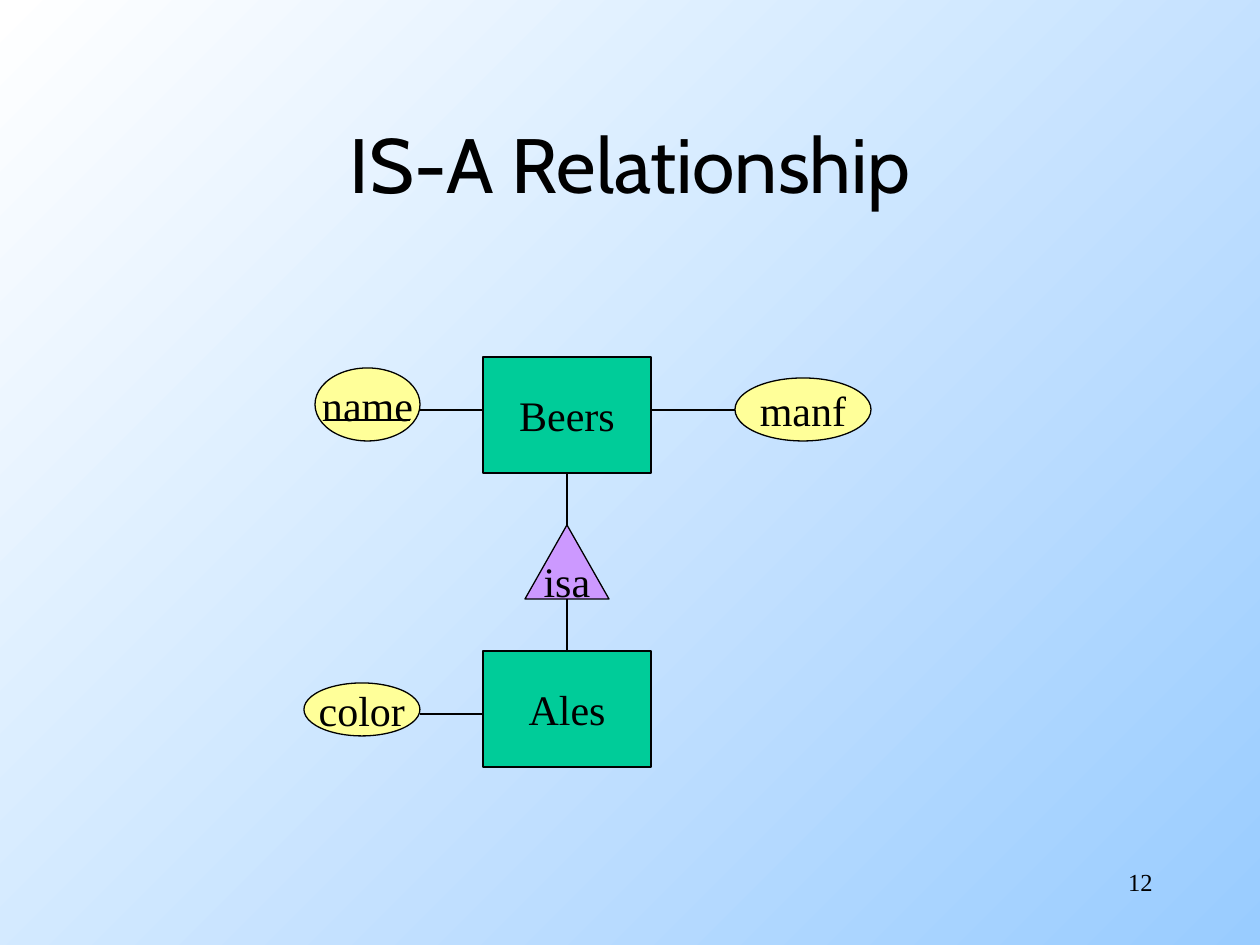
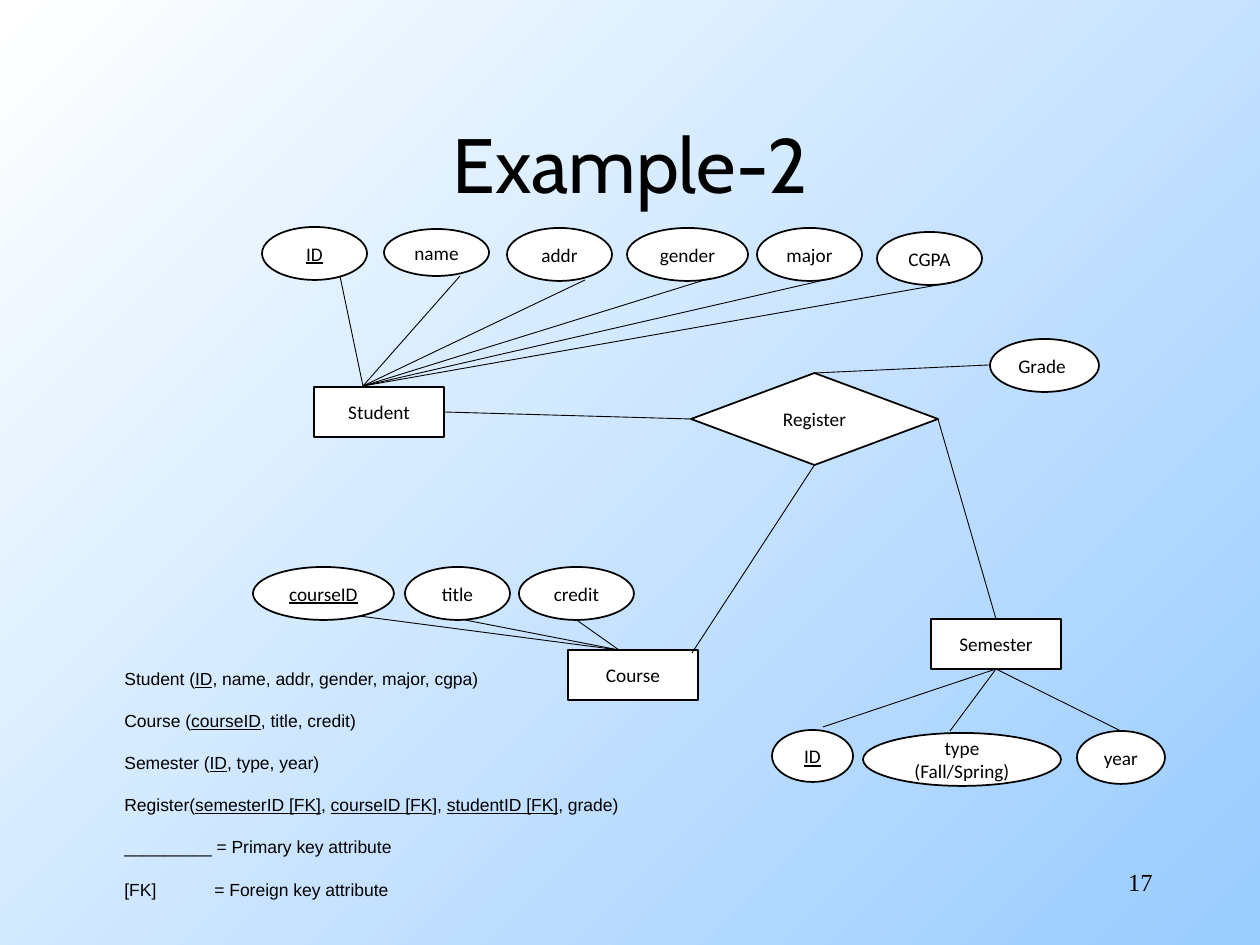
"""Build two entity-relationship slides: an IS-A diagram and a course registration example."""
from dataclasses import dataclass

import pptx
import pptx.dml.color
import pptx.enum.shapes
import pptx.enum.text
import pptx.oxml.ns
import pptx.util
from lxml import etree

SHAPE = pptx.enum.shapes.MSO_SHAPE
ALIGN = pptx.enum.text.PP_ALIGN
ANCHOR = pptx.enum.text.MSO_ANCHOR
TOP, LEFT, BOTTOM, RIGHT = range(4)


@dataclass(frozen=True)
class Theme:
    ink: str = "000000"
    paper: str = "FFFFFF"
    sky: str = "99CCFF"
    entity: str = "00CC99"
    attribute: str = "FFFF99"
    isa: str = "CC99FF"
    title: tuple = ("Cabin", 44)
    number: tuple = ("Times New Roman", 14)
    big: tuple = ("Times New Roman", 24)
    small: tuple = ("Calibri", 11)
    schema: tuple = ("Arial", 10)
    bold_line: float = 1
    line: float = 0.75
    thin_line: float = 0.5


T = Theme()
PX = 914400 / 126
rgb = pptx.dml.color.RGBColor.from_string
qn = pptx.oxml.ns.qn


def add_node(s, kind, box, lines, style, fill=None, width=T.line, align=ALIGN.CENTER,
             anchor=ANCHOR.MIDDLE, wrap=True, spacing=None):
    """Add a shape, or a text box if kind is None; text between bars is underlined."""
    box = [round(v * PX) for v in box]
    if kind is None:
        sp = s.shapes.add_textbox(*box)
    else:
        sp = s.shapes.add_shape(kind, *box)
        sp.shadow.inherit = False
        sp.fill.solid()
        sp.fill.fore_color.rgb = rgb(fill)
        sp.line.color.rgb = rgb(T.ink)
        sp.line.width = pptx.util.Pt(width)
    tf = sp.text_frame
    tf.word_wrap = wrap
    tf.vertical_anchor = anchor
    for i, line in enumerate(lines):
        p = tf.add_paragraph() if i else tf.paragraphs[0]
        p.alignment = align
        if spacing:
            p.line_spacing = spacing
        for j, part in enumerate(line.split("|")):
            if part:
                r = p.add_run()
                r.text = part
                r.font.name, size = style
                r.font.size = pptx.util.Pt(size)
                r.font.color.rgb = rgb(T.ink)
                r.font.underline = j % 2 == 1
    return sp


def link(s, start, end, width, begin_at=None, end_at=None):
    """Draw a line between two points, joined to (shape, site) pairs where given."""
    ends = [round(v * PX) for v in start + end]
    c = s.shapes.add_connector(pptx.enum.shapes.MSO_CONNECTOR.STRAIGHT, *ends)
    c.line.color.rgb = rgb(T.ink)
    c.line.width = pptx.util.Pt(width)
    etree.SubElement(c._element.spPr, qn("a:effectLst"))
    if begin_at:
        c.begin_connect(*begin_at)
    if end_at:
        c.end_connect(*end_at)


prs = pptx.Presentation()
prs.slide_width = pptx.util.Inches(10)
prs.slide_height = pptx.util.Inches(7.5)
fill = prs.slide_master.background.fill
fill.gradient()
fill.gradient_angle = 315
for stop, color, position in zip(fill.gradient_stops, (T.paper, T.sky), (0, 1)):
    stop.color.rgb = rgb(color)
    stop.position = position

slides = []
for title, number in (("IS-A Relationship", "12"), ("Example-2", "17")):
    s = prs.slides.add_slide(prs.slide_layouts[6])
    add_node(s, None, (95, 84, 1071, 158), [title], T.title)
    add_node(s, None, (903, 861, 262, 63), [number], T.number, align=ALIGN.RIGHT, anchor=ANCHOR.TOP)
    slides.append(s)
isa_slide, example = slides

nodes = {}
for kind, box, text, color in (
    (SHAPE.RECTANGLE, (483, 357, 168, 116), "Beers", T.entity),
    (SHAPE.RECTANGLE, (483, 651, 168, 116), "Ales", T.entity),
    (SHAPE.ISOSCELES_TRIANGLE, (525, 525, 84, 74), "isa", T.isa),
    (SHAPE.OVAL, (315, 368, 105, 73), "name", T.attribute),
    (SHAPE.OVAL, (735, 378, 136, 63), "manf", T.attribute),
    (SHAPE.OVAL, (304, 683, 116, 53), "color", T.attribute),
):
    nodes[text] = add_node(isa_slide, kind, box, [text], T.big, color, wrap=False)

for start, end, begin_at, end_at in (
    ((325, 420), (410, 420), None, None),
    ((420, 410), (483, 410), None, None),
    ((735, 410), (651, 410), None, None),
    ((420, 714), (483, 714), None, None),
    ((567, 525), (567, 473), (nodes["isa"], TOP), (nodes["Beers"], BOTTOM)),
    ((567, 599), (567, 651), None, (nodes["Ales"], TOP)),
):
    link(isa_slide, start, end, T.line, begin_at, end_at)

for kind, box, text in (
    (SHAPE.RECTANGLE, (314, 387, 130, 50), "Student"),
    (SHAPE.RECTANGLE, (568, 650, 130, 50), "Course"),
    (SHAPE.RECTANGLE, (931, 619, 130, 50), "Semester"),
    (SHAPE.DIAMOND, (691, 373, 247, 92), "Register"),
):
    nodes[text] = add_node(example, kind, box, [text], T.small, T.paper, T.bold_line)
student, course, semester, register = (
    nodes[name] for name in ("Student", "Course", "Semester", "Register"))

student_hub, course_hub, semester_hub = (363, 386), (619, 650), (996, 669)
semester_joint = (semester, BOTTOM)
for box, text, spoke, hub, joint in (
    ((262, 227, 105, 53), "|ID|", (340, 276), student_hub, None),
    ((384, 229, 105, 47), "name", (460, 276), student_hub, None),
    ((507, 228, 105, 53), "addr", (585, 280), student_hub, None),
    ((627, 228, 121, 53), "gender", (711, 278), student_hub, None),
    ((757, 228, 105, 53), "major", (833, 278), student_hub, None),
    ((877, 232, 105, 53), "CGPA", (955, 282), student_hub, None),
    ((253, 567, 141, 53), "|courseID|", (359, 616), course_hub, None),
    ((405, 567, 105, 53), "title", (465, 620), course_hub, None),
    ((519, 567, 115, 53), "credit", (578, 621), course_hub, None),
    ((772, 730, 81, 52), "|ID|", (823, 727), semester_hub, semester_joint),
    ((863, 733, 198, 53), "type (Fall/Spring)", (950, 731), semester_hub, semester_joint),
    ((1077, 731, 88, 53), "year", (1121, 731), semester_hub, semester_joint),
    ((990, 339, 109, 53), "Grade", (989, 365), (814, 373), (register, TOP)),
):
    align = ALIGN.LEFT if text == "Grade" else ALIGN.CENTER
    add_node(example, SHAPE.OVAL, box, [text], T.small, T.paper, T.bold_line, align)
    link(example, spoke, hub, T.thin_line, end_at=joint)

link(example, (444, 412), (691, 419), T.thin_line, (student, RIGHT), (register, LEFT))
link(example, (996, 619), (938, 419), T.thin_line, (semester, TOP), (register, RIGHT))
link(example, (814, 465), (692, 653), T.thin_line, (register, BOTTOM))

schema = add_node(example, None, (112, 641, 688, 266), (
    "Student (|ID|, name, addr, gender, major, cgpa)",
    "Course (|courseID|, title, credit)",
    "Semester (|ID|, type, year)",
    "Register(|semesterID [FK]|, |courseID [FK|], |studentID [FK]|, grade)",
    "_________ = Primary key attribute",
    "[FK]\t= Foreign key attribute",
), T.schema, align=ALIGN.LEFT, anchor=ANCHOR.TOP, spacing=2.0)
pPr = schema.text_frame.paragraphs[-1]._p.get_or_add_pPr()
tabs = etree.SubElement(pPr, qn("a:tabLst"))
etree.SubElement(tabs, qn("a:tab"), pos=str(round(90 * PX)), algn="l")

prs.save("out.pptx")
